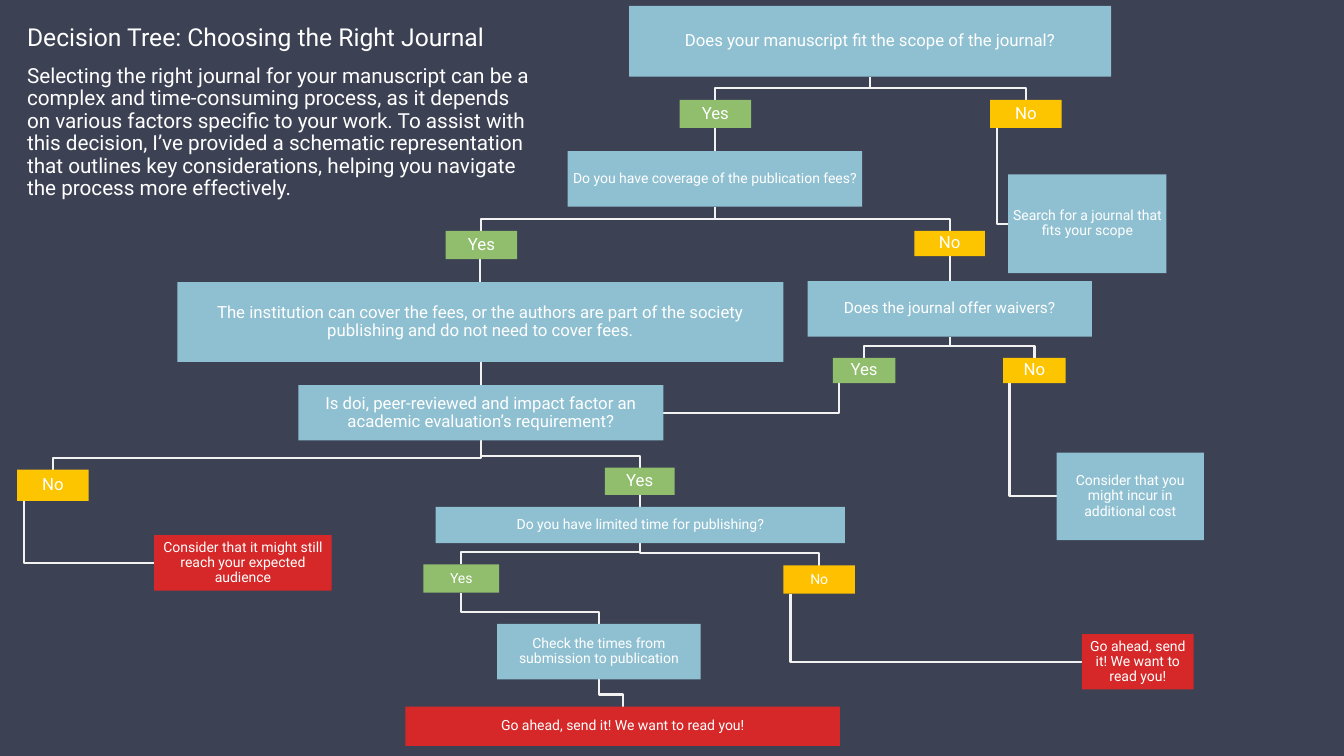
import pptx
import pptx.util
import pptx.dml.color
import pptx.enum.shapes
import pptx.enum.text
import lxml.etree

Inches = pptx.util.Inches
Pt = pptx.util.Pt
RGBColor = pptx.dml.color.RGBColor

NAVY = RGBColor(0x3C, 0x41, 0x54)
WHITE = RGBColor(0xFF, 0xFF, 0xFF)
LINK = RGBColor(0xF2, 0xF2, 0xF2)
BLUE = RGBColor(0x8F, 0xC0, 0xD1)
GREEN = RGBColor(0x90, 0xBE, 0x6D)
YELLOW = RGBColor(0xFD, 0xC5, 0x00)
AMBER = RGBColor(0xFF, 0xC0, 0x00)
RED = RGBColor(0xD6, 0x28, 0x28)

INTRO = [
    ("Decision Tree: Choosing the Right Journal", 17.6),
    ("Selecting the right journal for your manuscript can be a complex and time-consuming "
     "process, as it depends on various factors specific to your work. To assist with this "
     "decision, I’ve provided a schematic representation that outlines key considerations, "
     "helping you navigate the process more effectively.", 14.8),
]
INTRO_AREA = (0.17, 0.2, 5.24, 2.19)

STEPS = {
    "scope": ((6.24, 0.06, 4.78, 0.7), BLUE, 12,
              "Does your manuscript fit the scope of the journal?"),
    "scope yes": ((6.74, 0.99, 0.71, 0.28), GREEN, 12, "Yes"),
    "coverage": ((5.63, 1.5, 2.92, 0.55), BLUE, 10,
                 "Do you have coverage of the publication fees?"),
    "coverage yes": ((4.42, 2.29, 0.71, 0.28), GREEN, 12, "Yes"),
    "covered": ((1.76, 2.8, 6.01, 0.79), BLUE, 12,
                "The institution can cover the fees, or the authors are part of the "
                "society publishing and do not need to cover fees."),
    "evaluation": ((2.96, 3.82, 3.62, 0.55), BLUE, 12,
                   "Is doi, peer-reviewed and impact factor an academic evaluation’s "
                   "requirement?"),
    "evaluation no": ((0.17, 4.66, 0.71, 0.31), YELLOW, 12, "No"),
    "audience": ((1.53, 5.31, 1.76, 0.55), RED, 10,
                 "Consider that it might still reach your expected audience"),
    "evaluation yes": ((6, 4.64, 0.69, 0.27), GREEN, 12, "Yes"),
    "time": ((4.32, 5.03, 4.06, 0.36), BLUE, 10,
             "Do you have limited time for publishing?"),
    "time no": ((7.77, 5.61, 0.71, 0.28), AMBER, 10, "No"),
    "send now": ((10.73, 6.29, 1.11, 0.55), RED, 10,
                 "Go ahead, send it! We want to read you!"),
    "time yes": ((4.2, 5.6, 0.75, 0.28), GREEN, 10, "Yes"),
    "check times": ((4.93, 6.19, 2.02, 0.55), BLUE, 10,
                    "Check the times from submission to publication"),
    "send after": ((4.02, 7.01, 4.31, 0.39), RED, 10,
                   "Go ahead, send it! We want to read you!"),
    "coverage no": ((9.07, 2.29, 0.7, 0.25), YELLOW, 12, "No"),
    "waivers": ((8.01, 2.79, 2.82, 0.55), BLUE, 11, "Does the journal offer waivers?"),
    "waivers yes": ((8.26, 3.55, 0.62, 0.25), GREEN, 12, "Yes"),
    "waivers no": ((9.95, 3.55, 0.62, 0.25), YELLOW, 12, "No"),
    "extra cost": ((10.48, 4.49, 1.46, 0.87), BLUE, 10,
                   "Consider that you might incur in additional cost"),
    "scope no": ((9.82, 0.99, 0.71, 0.28), YELLOW, 12, "No"),
    "search": ((10, 1.73, 1.57, 0.98), BLUE, 10,
               "Search for a journal that fits your scope"),
}

BRANCHES = [
    ("scope", "scope yes"), ("scope", "scope no"),
    ("scope yes", "coverage"),
    ("coverage", "coverage yes"), ("coverage", "coverage no"),
    ("coverage yes", "covered"), ("covered", "evaluation"),
    ("coverage no", "waivers"),
    ("waivers", "waivers yes"), ("waivers", "waivers no"),
    ("evaluation", "evaluation no"), ("evaluation", "evaluation yes"),
    ("evaluation yes", "time"),
    ("time", "time yes"), ("time", "time no"),
    ("time yes", "check times"), ("check times", "send after"),
]
SIDE_LINKS = [
    ("scope no", "search", 0), ("waivers no", "extra cost", 0),
    ("waivers yes", "evaluation", 0.68), ("evaluation no", "audience", 0),
    ("time no", "send now", 0),
]
ELBOW_GAP = 0.12
SIDE_START = 0.1


def apply(target, formats):
    for name, value in formats.items():
        setattr(target, name, value)


def spot(step, across, down):
    left, top, width, height = STEPS[step][0]
    return left + across * width, top + down * height


def draw_link(points):
    points = [(Inches(x), Inches(y)) for x, y in points]
    if len(points) == 2:
        link = slide.shapes.add_connector(
            pptx.enum.shapes.MSO_CONNECTOR.STRAIGHT, *points[0], *points[1])
        lxml.etree.SubElement(link._element.spPr, pptx.oxml.ns.qn("a:effectLst"))
    else:
        outline = slide.shapes.build_freeform(*points[0])
        outline.add_line_segments(points[1:], close=False)
        link = outline.convert_to_shape()
        link.fill.background()
        link.shadow.inherit = False
    link.line.color.rgb = LINK
    link.line.width = Pt(1.5)


def write(paragraph, text, size, formats):
    run = paragraph.add_run()
    run.text = text
    apply(paragraph, formats)
    apply(run.font, {"size": Pt(size), "name": "Roboto"})
    run.font.color.rgb = WHITE


deck = pptx.Presentation()
apply(deck, {"slide_width": Inches(13.33), "slide_height": Inches(7.5)})
slide = deck.slides.add_slide(deck.slide_layouts[6])
slide.background.fill.solid()
slide.background.fill.fore_color.rgb = NAVY

for source, answer in BRANCHES:
    start_x, start_y = spot(source, 0.5, 1)
    end_x, end_y = spot(answer, 0.5, 0)
    if abs(start_x - end_x) < 0.03:
        draw_link([(end_x, start_y), (end_x, end_y)])
    else:
        bend = end_y - ELBOW_GAP
        draw_link([(start_x, start_y), (start_x, bend), (end_x, bend), (end_x, end_y)])

for answer, outcome, across in SIDE_LINKS:
    start_x, start_y = spot(answer, SIDE_START, 1)
    end_x, end_y = spot(outcome, across, 0.5)
    draw_link([(start_x, start_y), (start_x, end_y), (end_x, end_y)])

STEP_FRAME = {"word_wrap": True, "vertical_anchor": pptx.enum.text.MSO_ANCHOR.MIDDLE}
STEP_FRAME.update({"margin_" + side: Inches(0.01)
                   for side in ("left", "right", "top", "bottom")})
STEP_TEXT = {"alignment": pptx.enum.text.PP_ALIGN.CENTER, "line_spacing": 0.9}
INTRO_TEXT = {"line_spacing": 0.9, "space_before": Pt(10)}

for area, color, size, text in STEPS.values():
    step = slide.shapes.add_shape(
        pptx.enum.shapes.MSO_SHAPE.RECTANGLE, *map(Inches, area))
    step.shadow.inherit = False
    step.fill.solid()
    step.fill.fore_color.rgb = color
    step.line.fill.background()
    apply(step.text_frame, STEP_FRAME)
    write(step.text_frame.paragraphs[0], text, size, STEP_TEXT)

intro = slide.shapes.add_textbox(*map(Inches, INTRO_AREA)).text_frame
intro.word_wrap = True
for index, (text, size) in enumerate(INTRO):
    paragraph = intro.add_paragraph() if index else intro.paragraphs[0]
    write(paragraph, text, size, INTRO_TEXT)

deck.save("out.pptx")
